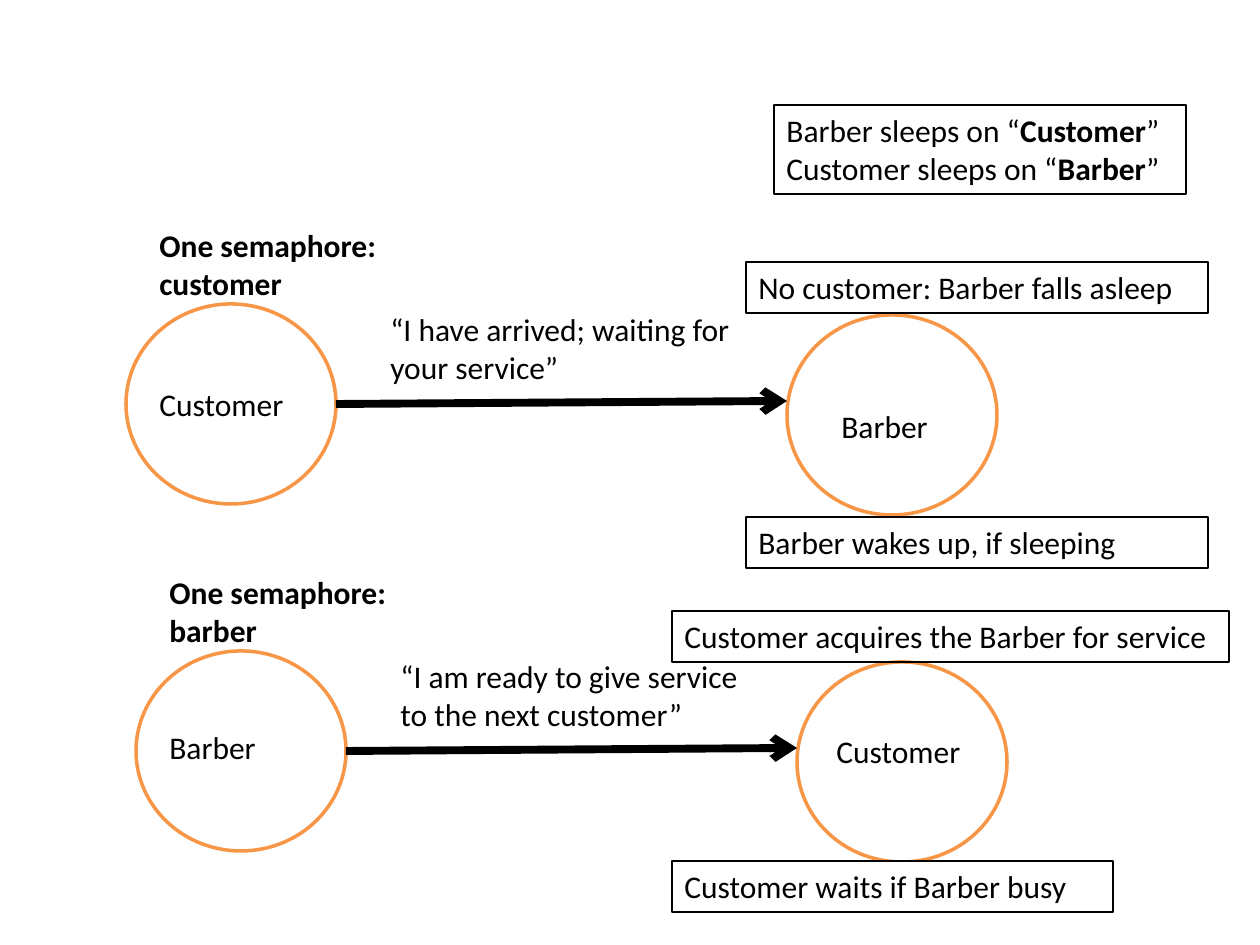
"""Build the sleeping barber slide: two semaphore exchanges with framed remarks."""
from lxml import etree
from pptx import Presentation
from pptx.dml.color import RGBColor
from pptx.enum.shapes import MSO_CONNECTOR, MSO_SHAPE
from pptx.enum.text import MSO_AUTO_SIZE
from pptx.oxml.ns import qn
from pptx.util import Emu, Pt

STRAIGHT = MSO_CONNECTOR.STRAIGHT
ELLIPSE = MSO_SHAPE.OVAL
GROW = MSO_AUTO_SIZE.SHAPE_TO_FIT_TEXT
PX_PER_INCH = 126
BLACK, WHITE, ORANGE = "000000", "FFFFFF", "F79646"
LINE_HEIGHTS = {1: 51, 2: 89}
CIRCLE_SIZE = (210, 200)

EXCHANGES = [
    {"origin": (126, 304), "semaphore": "One semaphore: customer",
     "sender": ("Customer", 21, 75, 158),
     "receiver": ("Barber", 703, 97, 179),
     "message": "“I have arrived; waiting for your service”"},
    {"origin": (136, 651), "semaphore": "One semaphore: barber",
     "sender": ("Barber", 21, 71, 179),
     "receiver": ("Customer", 688, 75, 158),
     "message": "“I am ready to give service to the next customer”"},
]

REMARKS = [
    (746, 517, 462, WHITE, ["Barber wakes up, if sleeping"]),
    (672, 611, 557, None, ["Customer acquires the Barber for service"]),
    (746, 262, 462, WHITE, ["No customer: Barber falls asleep"]),
    (672, 861, 441, WHITE, ["Customer waits if Barber busy"]),
    (774, 105, 412, None, ["Barber sleeps on “*Customer*”", "Customer sleeps on “*Barber*”"]),
]


def px(*lengths):
    """Turn pixel lengths into EMU."""
    return [Emu(round(length * 914400 / PX_PER_INCH)) for length in lengths]


def color(hex_code):
    """Return the colour for a hex string."""
    return RGBColor.from_string(hex_code)


def set_outline(item, hex_code, width):
    """Give a shape or connector a solid line."""
    item.line.color.rgb = color(hex_code)
    item.line.width = Pt(width)


def add_text(slide, left, top, width, rows, height_rows=1, bold=False):
    """Add a wrapping text box in which asterisks enclose bold words."""
    label = slide.shapes.add_textbox(*px(left, top, width, LINE_HEIGHTS[height_rows]))
    frame = label.text_frame
    frame.word_wrap = True
    frame.auto_size = GROW
    for index, row in enumerate(rows):
        paragraph = frame.add_paragraph() if index else frame.paragraphs[0]
        for part, words in enumerate(row.split("*")):
            run = paragraph.add_run()
            run.text = words
            run.font.color.rgb = color(BLACK)
            styles = {"name": "Calibri", "size": Pt(18), "bold": bold or part % 2 == 1}
            for attribute, value in styles.items():
                setattr(run.font, attribute, value)
    return label


def add_remark(slide, left, top, width, fill, rows):
    """Add a framed text box with an optional fill."""
    remark = add_text(slide, left, top, width, rows, len(rows))
    if fill:
        remark.fill.solid()
        remark.fill.fore_color.rgb = color(fill)
    set_outline(remark, BLACK, 0.75)


def add_circle(slide, left, top):
    """Add an orange ring for one party."""
    circle = slide.shapes.add_shape(ELLIPSE, *px(left, top, *CIRCLE_SIZE))
    circle.shadow.inherit = False
    circle.fill.solid()
    circle.fill.fore_color.rgb = color(WHITE)
    set_outline(circle, ORANGE, 2)


def add_arrow(slide, start_x, start_y, end_x, end_y):
    """Add a thick line with an open arrowhead at its end."""
    arrow = slide.shapes.add_connector(STRAIGHT, *px(start_x, start_y, end_x, end_y))
    set_outline(arrow, BLACK, 4.5)
    etree.SubElement(arrow.line._get_or_add_ln(), qn("a:tailEnd"), type="arrow")
    etree.SubElement(arrow._element.spPr, qn("a:effectLst"))


def add_exchange(slide, origin, semaphore, sender, receiver, message):
    """Add two parties, the message between them and their semaphore."""
    left, top = origin
    add_circle(slide, left, top)
    add_circle(slide, left + 661, top + 11)
    for name, dx, dy, width in (sender, receiver):
        add_text(slide, left + dx, top + dy, width, [name])
    add_arrow(slide, left + 210, top + 100, left + 661, top + 97)
    add_text(slide, left + 252, top, 368, [message], 2)
    add_text(slide, left + 21, top - 84, 325, [semaphore], 2, bold=True)


def main():
    """Build and save the slide."""
    deck = Presentation()
    deck.slide_width, deck.slide_height = px(1260, 945)
    slide = deck.slides.add_slide(deck.slide_layouts[6])
    for exchange in EXCHANGES:
        add_exchange(slide, **exchange)
    for remark in REMARKS:
        add_remark(slide, *remark)
    deck.save("out.pptx")


if __name__ == "__main__":
    main()
